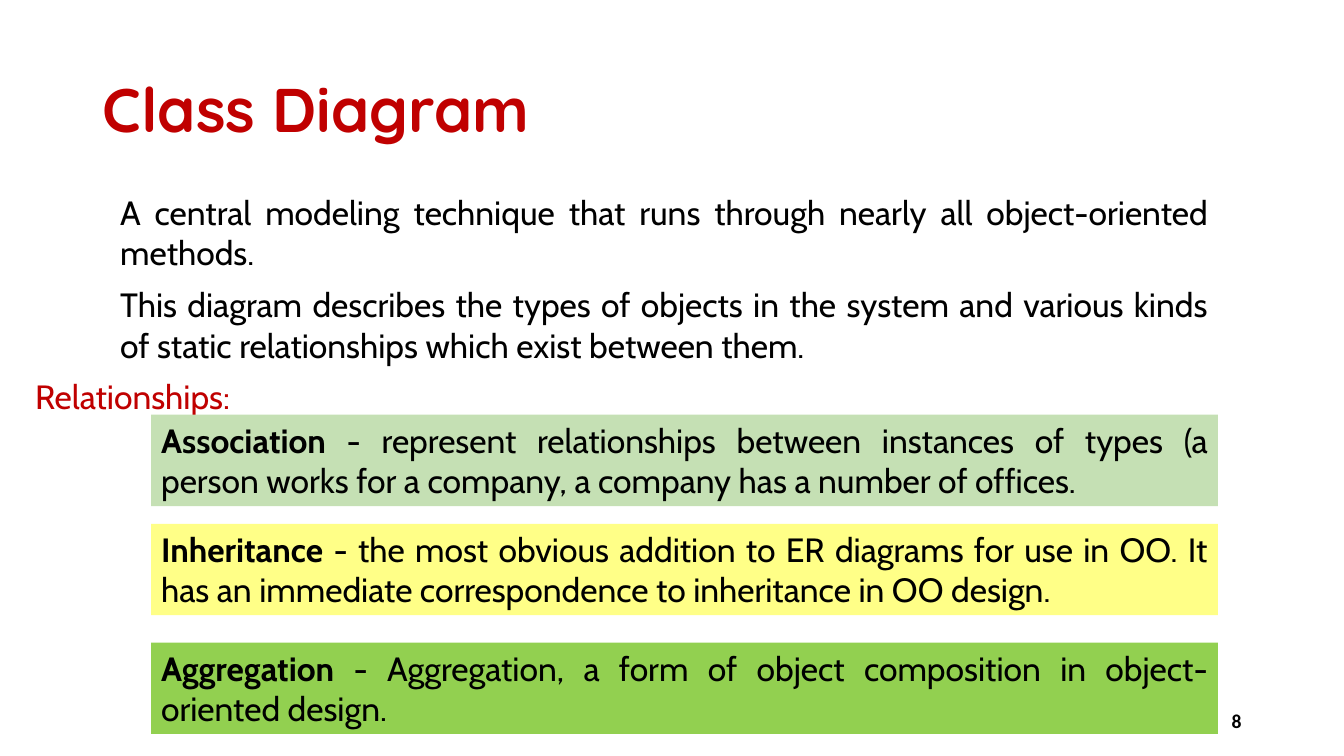
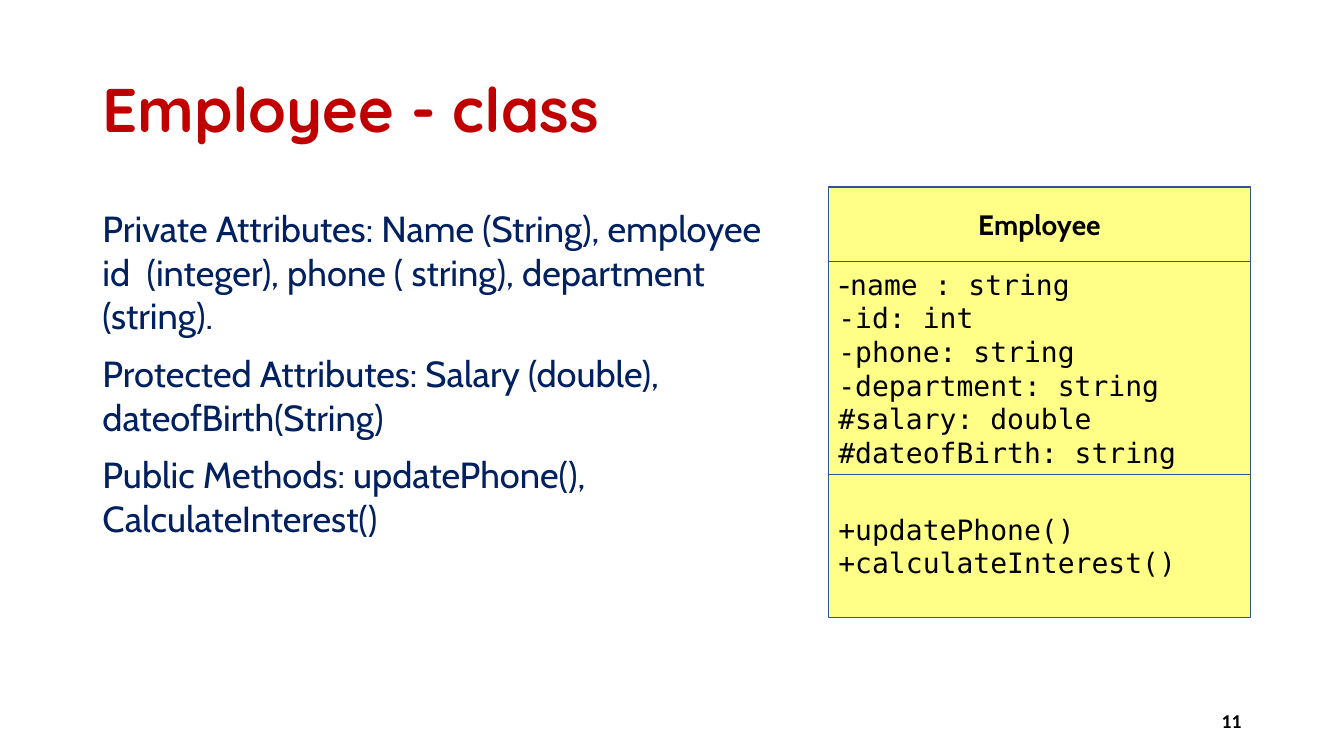
from dataclasses import dataclass, replace

from pptx import Presentation
from pptx import util as u
from pptx.dml.color import RGBColor
from pptx.enum import shapes, text
from pptx.oxml.xmlchemy import OxmlElement

EMU_PER_PX = 9525
ALIGN = text.PP_ALIGN
ANCHOR = text.MSO_ANCHOR


def px(length):
    return u.Emu(length * EMU_PER_PX)


@dataclass(frozen=True)
class TextStyle:
    font: str
    size: float
    color: str
    bold: bool = False

    def apply(self, font):
        font.name = self.font
        font.size = u.Pt(self.size)
        font.bold = self.bold
        font.color.rgb = RGBColor.from_string(self.color)


@dataclass(frozen=True)
class Theme:
    title = TextStyle("Quicksand", 44, "C00000", True)
    prose = TextStyle("Cabin", 24, "000000")
    term = replace(prose, bold=True)
    label = replace(prose, color="C00000")
    body = TextStyle("Cabin", 25.9, "002060")
    page = TextStyle("Calibri", 14, "000000", True)
    class_name = TextStyle("Cabin", 20, "000000", True)
    member = TextStyle("DejaVu Sans Mono", 20, "000000")
    dash = TextStyle("Cabin", 20, "000000")
    pale_green = "C5E0B4"
    yellow = "FFFF87"
    green = "92D050"
    outline = "325491"


class Deck:
    def __init__(self, theme):
        self.theme = theme
        self.file = Presentation()
        self.file.slide_width, self.file.slide_height = px(1280), px(720)
        self.slide = None

    def start(self, title, page, layout):
        self.slide = self.file.slides.add_slide(self.file.slide_layouts[layout])
        heading = self.slide.shapes.title
        self.place(heading, 88, 38, 1104, 139)
        self.set_text(heading, [title], self.theme.title, anchor=ANCHOR.MIDDLE, spacing=0.9)
        self.text_box((904, 667, 288, 38), page, self.theme.page, ALIGN.RIGHT, ANCHOR.MIDDLE)

    def place(self, shape, left, top, width, height):
        shape.left, shape.top = px(left), px(top)
        shape.width, shape.height = px(width), px(height)

    def set_text(self, shape, paragraphs, style, align=ALIGN.LEFT, anchor=ANCHOR.TOP,
                 spacing=1.0, before=0):
        frame = shape.text_frame
        frame.word_wrap = True
        frame.auto_size = text.MSO_AUTO_SIZE.NONE
        frame.vertical_anchor = anchor
        for index, content in enumerate(paragraphs):
            paragraph = frame.add_paragraph() if index else frame.paragraphs[0]
            paragraph.alignment = align
            paragraph.line_spacing = spacing
            paragraph.space_before = u.Pt(before)
            if isinstance(content, str):
                paragraph.add_run().text = content
                style.apply(paragraph.font)
            else:
                for words, run_style in content:
                    run = paragraph.add_run()
                    run.text = words
                    run_style.apply(run.font)

    def text_box(self, box, words, style, align=ALIGN.JUSTIFY, anchor=ANCHOR.TOP):
        shape = self.slide.shapes.add_textbox(*map(px, box))
        self.set_text(shape, [words], style, align, anchor)

    def body(self, box, paragraphs):
        shape = self.slide.placeholders[1]
        self.place(shape, *box)
        self.set_text(shape, paragraphs, self.theme.body, before=10)
        for paragraph in shape.text_frame.paragraphs:
            properties = paragraph._p.get_or_add_pPr()
            properties.set("marL", "0")
            properties.set("indent", "0")
            properties.insert_element_before(OxmlElement("a:buNone"), "a:defRPr")

    def panel(self, box, fill, paragraphs, style, align=ALIGN.LEFT,
              anchor=ANCHOR.MIDDLE, outline=None):
        shape = self.slide.shapes.add_shape(shapes.MSO_SHAPE.RECTANGLE, *map(px, box))
        shape.shadow.inherit = False
        shape.fill.solid()
        shape.fill.fore_color.rgb = RGBColor.from_string(fill)
        if outline:
            shape.line.color.rgb = RGBColor.from_string(outline)
            shape.line.width = u.Pt(1)
        else:
            shape.line.fill.background()
        self.set_text(shape, paragraphs, style, align, anchor)

    def definition(self, top, fill, term, meaning):
        runs = [(term, self.theme.term), (meaning, self.theme.prose)]
        self.panel((144, top, 1016, 87), fill, [runs], self.theme.prose,
                   ALIGN.JUSTIFY, ANCHOR.TOP)

    def class_box(self, left, top, width, compartments):
        for height, paragraphs, style, align in compartments:
            self.panel((left, top, width, height), self.theme.yellow, paragraphs,
                       style, align, outline=self.theme.outline)
            top += height


def class_diagram(deck):
    theme = deck.theme
    deck.start("Class Diagram", "8", layout=5)
    deck.text_box((105, 178, 1055, 87),
                  "A central modeling technique that runs through nearly all "
                  "object-oriented methods.", theme.prose)
    deck.text_box((105, 266, 1055, 87),
                  "This diagram describes the types of objects in the system and various "
                  "kinds of static relationships which exist between them.", theme.prose)
    deck.text_box((24, 353, 640, 48), "Relationships:", theme.label)
    relationships = [
        (395, theme.pale_green, "Association",
         " - represent relationships between instances of types (a person works for "
         "a company, a company has a number of offices."),
        (499, theme.yellow, "Inheritance",
         " - the most obvious addition to ER diagrams for use in OO. It has an "
         "immediate correspondence to inheritance in OO design."),
        (612, theme.green, "Aggregation",
         " - Aggregation, a form of object composition in object-oriented design."),
    ]
    for relationship in relationships:
        deck.definition(*relationship)


def employee_class(deck):
    theme = deck.theme
    deck.start("Employee - class", "11", layout=1)
    deck.body((88, 192, 664, 292), [
        "Private Attributes: Name (String), employee id  (integer), phone ( string), "
        "department (string).",
        "Protected Attributes: Salary (double), dateofBirth(String)",
        "Public Methods: updatePhone(), CalculateInterest()",
    ])
    attributes = [
        [("-", theme.dash), ("name : string", theme.member)],
        "-id: int",
        "-phone: string",
        "-department: string",
        "#salary: double",
        "#dateofBirth: string",
    ]
    methods = ["+updatePhone()", "+calculateInterest()"]
    deck.class_box(789, 178, 402, [
        (71, ["Employee"], theme.class_name, ALIGN.CENTER),
        (203, attributes, theme.member, ALIGN.LEFT),
        (136, methods, theme.member, ALIGN.LEFT),
    ])


def main():
    deck = Deck(Theme())
    class_diagram(deck)
    employee_class(deck)
    deck.file.save("out.pptx")


if __name__ == "__main__":
    main()
